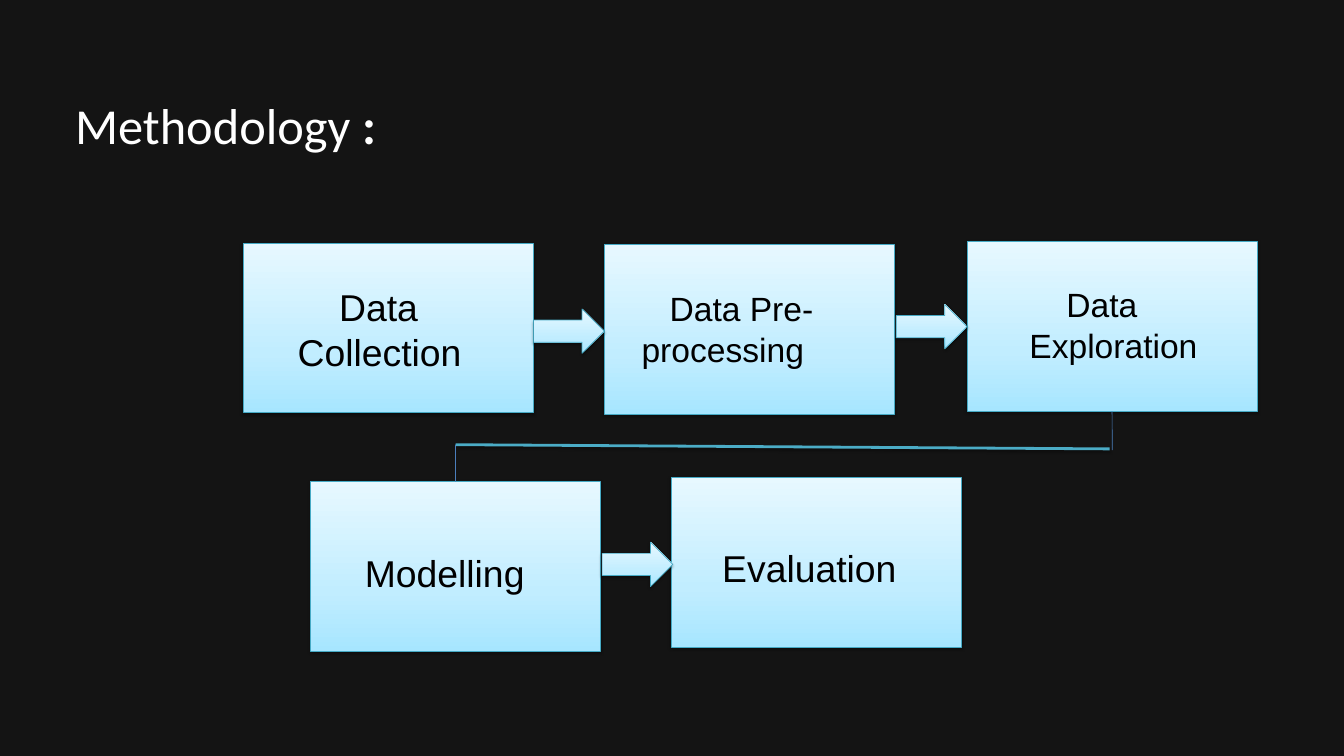
import copy

import pptx
import pptx.dml.color
import pptx.enum.shapes
import pptx.enum.text
import pptx.oxml
import pptx.oxml.ns
import pptx.util

Cm, Pt = pptx.util.Cm, pptx.util.Pt
RGBColor = pptx.dml.color.RGBColor
SHAPE = pptx.enum.shapes.MSO_SHAPE
STRAIGHT = pptx.enum.shapes.MSO_CONNECTOR.STRAIGHT
qn = pptx.oxml.ns.qn

BACKGROUND = RGBColor(0x14, 0x14, 0x14)
WHITE = RGBColor(0xFF, 0xFF, 0xFF)
BLACK = RGBColor(0, 0, 0)
OUTLINE = RGBColor(0x46, 0xAA, 0xC5)
LINK = RGBColor(0x4B, 0x7E, 0xBC)
LINK_BOLD = RGBColor(0x4B, 0xAC, 0xC6)
GRADIENT = [  # position in percent, colour, from the bottom up
    (0, RGBColor(0xA7, 0xE6, 0xFF)),
    (35, RGBColor(0xC1, 0xED, 0xFF)),
    (100, RGBColor(0xE7, 0xF8, 0xFF)),
]

TITLE = [("Methodology", False), (" :", True)]
TITLE_AT = (2.84, 3.1, 43.15, 2.77)

BOX_SIZE = (10.97, 6.4)
ARROW_SIZE = (2.67, 1.68)
# box corner, text, text frame, first-line indent, size
STEPS = [
    ((9.19, 9.19), "Data Collection", (11, 10.62, 7.52, 3.68), 1.57, 40),
    ((22.83, 9.25), "Data Pre-processing", (24, 10.77, 8.84, 3.33), 1.06, 36),
    ((36.55, 9.14), "Data Exploration", (38.66, 10.62, 7.37, 3.33), 1.4, 36),
    ((11.73, 18.21), "Modelling", (13.54, 20.68, 8.08, 1.96), 0, 40),
    ((25.37, 18.06), "Evaluation", (27.05, 20.5, 7.62, 1.96), 0, 40),
]
ARROWS = [(20.17, 11.68), (33.88, 11.51), (22.76, 20.5)]
LINK_RIGHT, LINK_LEFT = (41.94, 16.97), (17.22, 16.81)


def cm(values):
    return [Cm(v) for v in values]


def add_shadow(shape, dist, alpha):
    """Give a shape or connector a soft shadow straight below it."""
    effects = shape._element.spPr.find(qn("a:effectLst"))
    if effects is None:
        effects = pptx.oxml.parse_xml(
            f"<a:effectLst {pptx.oxml.ns.nsdecls('a')}/>")
        shape._element.spPr.append(effects)
    effects.append(pptx.oxml.parse_xml(
        f"<a:outerShdw {pptx.oxml.ns.nsdecls('a')} blurRad='{Pt(3.1)}'"
        f" dist='{Pt(dist)}' dir='5400000' rotWithShape='0'>"
        f"<a:srgbClr val='000000'><a:alpha val='{alpha * 1000}'/></a:srgbClr>"
        "</a:outerShdw>"))


def add_glossy(slide, kind, corner, size):
    """Add a shape with the pale blue gradient, outline and shadow."""
    sp = slide.shapes.add_shape(kind, *cm(corner + size))
    sp.fill.gradient()
    sp.fill.gradient_angle = 90
    stops = next(sp._element.spPr.iter(qn("a:gsLst")))
    stops.append(copy.deepcopy(stops[-1]))
    for stop, (position, color) in zip(sp.fill.gradient_stops, GRADIENT):
        stop.position = position / 100
        stop.color.rgb = color
    sp.line.color.rgb = OUTLINE
    sp.line.width = Pt(0.75)
    sp.shadow.inherit = False
    add_shadow(sp, 1.6, 38)
    return sp


def add_text(slide, at, runs, indent=0, spacing=None, margin=None, **font):
    tf = slide.shapes.add_textbox(*cm(at)).text_frame
    tf.word_wrap = True
    if margin is not None:
        for side in ("left", "top", "right", "bottom"):
            setattr(tf, f"margin_{side}", margin)
    p = tf.paragraphs[0]
    p.line_spacing = spacing
    if indent:
        p._p.get_or_add_pPr().set("indent", str(Cm(indent)))
    color = font.pop("color")
    for text, bold in runs:
        r = p.add_run()
        r.text = text
        r.font.color.rgb = color
        for name, value in {**font, "bold": bold}.items():
            setattr(r.font, name, value)


def add_link(slide, start, end, color, width):
    line = slide.shapes.add_connector(STRAIGHT, *cm(start + end))
    line.line.color.rgb = color
    line.line.width = Pt(width)
    line._element.spPr.append(pptx.oxml.parse_xml(
        f"<a:effectLst {pptx.oxml.ns.nsdecls('a')}/>"))
    return line


def main():
    prs = pptx.Presentation()
    prs.slide_width, prs.slide_height = Cm(50.8), Cm(28.58)
    s = prs.slides.add_slide(prs.slide_layouts[6])
    s.background.fill.solid()
    s.background.fill.fore_color.rgb = BACKGROUND

    add_text(s, TITLE_AT, TITLE, spacing=1.2, margin=0,
             name="Calibri", size=Pt(54), color=WHITE)

    boxes = [add_glossy(s, SHAPE.RECTANGLE, step[0], BOX_SIZE)
             for step in STEPS]
    for _, text, at, indent, size in STEPS:
        add_text(s, at, [(text, False)], indent,
                 name="Arial", size=Pt(size), color=BLACK)
    for corner in ARROWS:
        add_glossy(s, SHAPE.RIGHT_ARROW, corner, ARROW_SIZE)

    exploration, modelling = boxes[2], boxes[3]
    down = add_link(s, LINK_RIGHT, (42.04, 17.02), LINK, 0.75)
    down.begin_connect(exploration, 2)
    across = add_link(s, LINK_RIGHT, LINK_LEFT, LINK_BOLD, 3)
    add_shadow(across, 1.8, 35)
    into = add_link(s, LINK_LEFT, LINK_LEFT, LINK, 0.75)
    into.end_connect(modelling, 0)

    prs.save("out.pptx")


if __name__ == "__main__":
    main()
